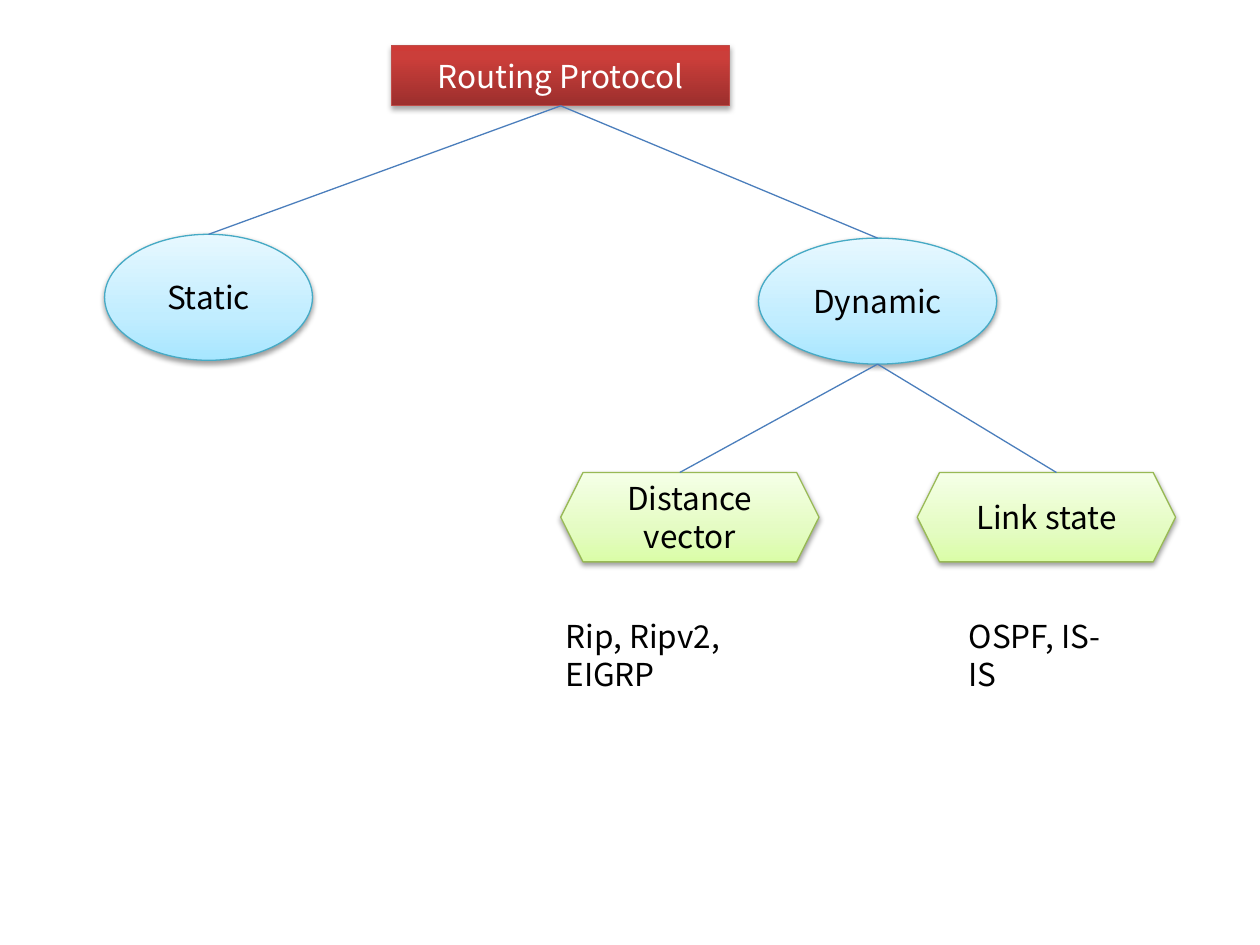
import pptx
import pptx.util
import pptx.dml.color
import pptx.enum.shapes
import pptx.enum.text
import pptx.oxml
import pptx.oxml.ns

Inches, Pt = pptx.util.Inches, pptx.util.Pt
RGB = pptx.dml.color.RGBColor.from_string
KIND = pptx.enum.shapes.MSO_SHAPE
ALIGN = pptx.enum.text.PP_ALIGN
ANCHOR = pptx.enum.text.MSO_ANCHOR
FONT = "Noto Sans CJK KR"
NS = pptx.oxml.ns.nsdecls("a")

COLORS = {"white": "FFFFFF", "black": "000000", "link": "4B7EBC"}
STYLES = {
    "root": dict(kind=KIND.RECTANGLE, line="BF4C48", ink="white", alpha=35, drop=1.8,
                 stops=[(0, "9C2F2D"), (80, "CB3E3A"), (100, "CE3B37")]),
    "type": dict(kind=KIND.OVAL, line="46AAC5", ink="black", alpha=38, drop=1.6,
                 stops=[(0, "A7E6FF"), (35, "C1EDFF"), (100, "E7F8FF")]),
    "class": dict(kind=KIND.HEXAGON, line="98B955", ink="black", alpha=38, drop=1.6,
                  stops=[(0, "DAFDA7"), (35, "E4FCC2"), (100, "F5FFE7")]),
}
NODES = {
    "Routing Protocol": ("root", 3.11, 0.36, 2.68, 0.48),
    "Static": ("type", 0.83, 1.86, 1.65, 1),
    "Dynamic": ("type", 6.02, 1.89, 1.89, 1),
    "Distance vector": ("class", 4.45, 3.75, 2.05, 0.71),
    "Link state": ("class", 7.28, 3.75, 2.05, 0.71),
}
LINKS = [
    ("Routing Protocol", "Static", 0),
    ("Routing Protocol", "Dynamic", 0),
    ("Dynamic", "Distance vector", -0.08),
    ("Dynamic", "Link state", 0.08),
]
NOTES = [("Rip, Ripv2, EIGRP", 4.39, 2.16), ("OSPF, IS-IS", 7.59, 1.44)]
NOTE_TOP, NOTE_HIGH = 4.85, 0.4


def write(shape, text, ink="black", align=ALIGN.LEFT, anchor=ANCHOR.TOP):
    frame = shape.text_frame
    frame.word_wrap = True
    frame.vertical_anchor = anchor
    para = frame.paragraphs[0]
    para.alignment = align
    run = para.add_run()
    run.text = text
    run.font.name = FONT
    run.font.size = Pt(18)
    run.font.color.rgb = RGB(COLORS[ink])


def shade(shape, stops, alpha, drop):
    marks = "".join(
        f'<a:gs pos="{pos * 1000}"><a:srgbClr val="{color}"/></a:gs>'
        for pos, color in stops)
    fill = pptx.oxml.parse_xml(
        f'<a:gradFill {NS} rotWithShape="1"><a:gsLst>{marks}</a:gsLst>'
        '<a:lin ang="16200000" scaled="0"/></a:gradFill>')
    glow = pptx.oxml.parse_xml(
        f'<a:effectLst {NS}><a:outerShdw blurRad="{Pt(3.1)}" dist="{Pt(drop)}" '
        'dir="5400000" rotWithShape="0"><a:srgbClr val="000000">'
        f'<a:alpha val="{alpha * 1000}"/></a:srgbClr></a:outerShdw></a:effectLst>')
    props = shape.element.spPr
    props.find(pptx.oxml.ns.qn("a:prstGeom")).addnext(fill)
    props.append(glow)


def node(slide, text, style, *box):
    look = STYLES[style]
    shape = slide.shapes.add_shape(look["kind"], *map(Inches, box))
    shape.line.color.rgb = RGB(look["line"])
    shape.line.width = Pt(0.75)
    shade(shape, look["stops"], look["alpha"], look["drop"])
    write(shape, text, ink=look["ink"], align=ALIGN.CENTER, anchor=ANCHOR.MIDDLE)


def link(slide, start, end, shift):
    _, left, top, wide, high = NODES[start]
    _, left2, top2, wide2, _ = NODES[end]
    ends = left + wide / 2, top + high, left2 + wide2 / 2 + shift, top2
    line = slide.shapes.add_connector(
        pptx.enum.shapes.MSO_CONNECTOR.STRAIGHT, *map(Inches, ends))
    line.line.color.rgb = RGB(COLORS["link"])
    line.line.width = Pt(0.75)
    line.element.spPr.append(pptx.oxml.parse_xml(f"<a:effectLst {NS}/>"))


deck = pptx.Presentation()
deck.slide_width, deck.slide_height = Inches(10), Inches(7.5)
slide = deck.slides.add_slide(deck.slide_layouts[6])

for text, spot in NODES.items():
    node(slide, text, *spot)
for start, end, shift in LINKS:
    link(slide, start, end, shift)
for text, left, wide in NOTES:
    box = slide.shapes.add_textbox(*map(Inches, (left, NOTE_TOP, wide, NOTE_HIGH)))
    write(box, text)

deck.save("out.pptx")
